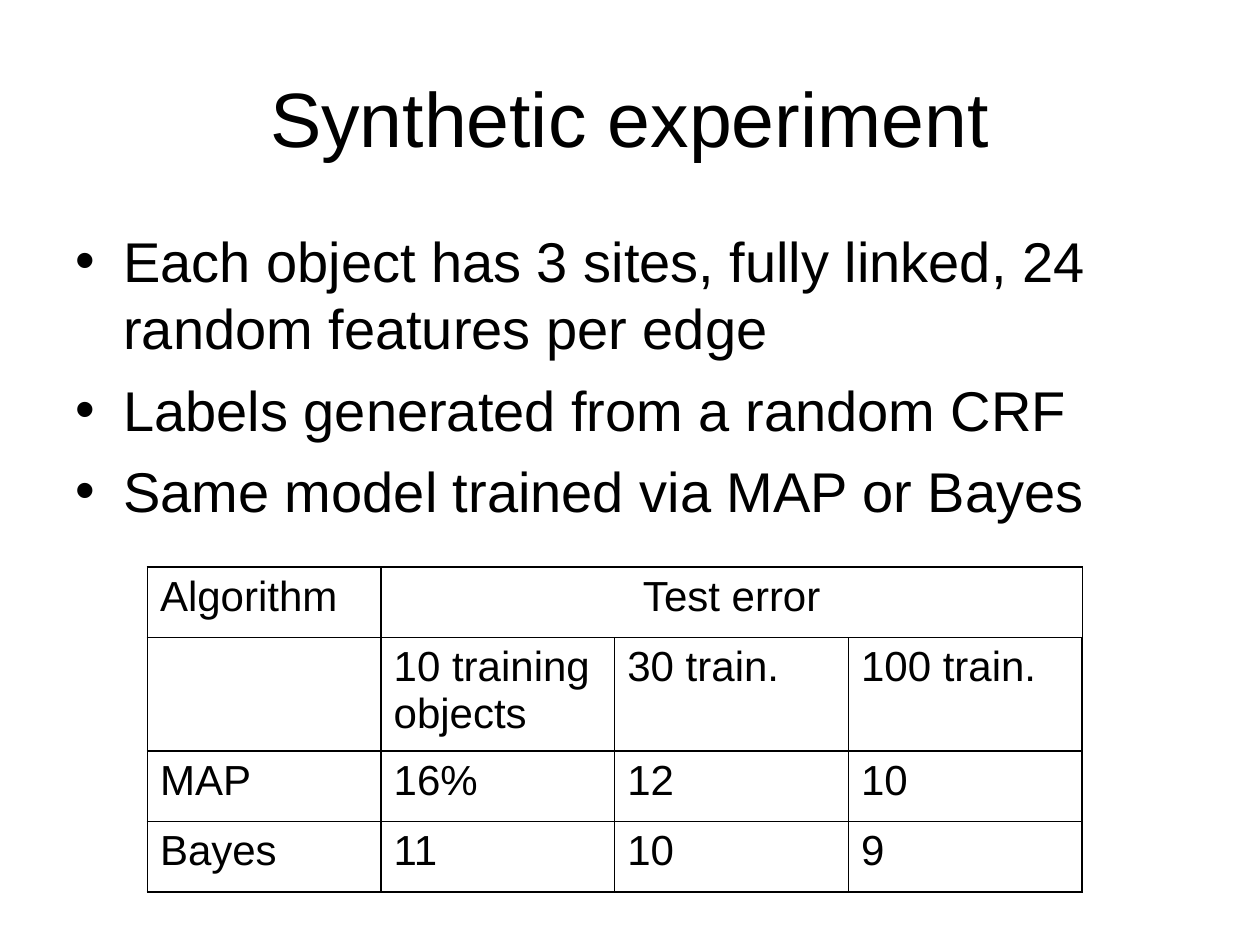
import pptx
import pptx.dml.color
import pptx.enum.text
import pptx.oxml
import pptx.oxml.ns
import pptx.util
from pptx.util import Inches, Pt

COLORS = {"text": "000000", "line": "000000", "background": "FFFFFF"}
ALIGN = pptx.enum.text.PP_ALIGN
THICK, THIN = 1.08, 0.45


def style(p, size, space_before=0, align=ALIGN.LEFT):
    p.alignment = align
    p.space_before = Pt(space_before)
    p.font.size = Pt(size)
    p.font.name = "Arial"
    p.font.color.rgb = pptx.dml.color.RGBColor.from_string(COLORS["text"])


def add_xml(parent, tag, attrs, content=""):
    """Append a drawing element with the given attributes and inner XML."""
    ns = pptx.oxml.ns.nsdecls("a")
    parent.append(pptx.oxml.parse_xml(f"<a:{tag} {ns} {attrs}>{content}</a:{tag}>"))


prs = pptx.Presentation()
prs.slide_width, prs.slide_height = Inches(10), Inches(7.5)
s = prs.slides.add_slide(prs.slide_layouts[6])
s.background.fill.solid()
s.background.fill.fore_color.rgb = pptx.dml.color.RGBColor.from_string(COLORS["background"])

# Title
title = s.shapes.add_textbox(Inches(0.5), Inches(0.3), Inches(9), Inches(1.25))
tf = title.text_frame
tf.word_wrap = True
tf.vertical_anchor = pptx.enum.text.MSO_ANCHOR.MIDDLE
tf.text = "Synthetic experiment"
style(tf.paragraphs[0], 44, align=ALIGN.CENTER)

# Bullets
bullets = [
    "Each object has 3 sites, fully linked, 24 random features per edge",
    "Labels generated from a random CRF",
    "Same model trained via MAP or Bayes",
]
body = s.shapes.add_textbox(Inches(0.5), Inches(1.75), Inches(9), Inches(4.95))
tf = body.text_frame
tf.word_wrap = True
tf.text = "\n".join(bullets)
for p in tf.paragraphs:
    pPr = p._p.get_or_add_pPr()
    pPr.set("marL", str(Inches(0.38)))
    pPr.set("indent", str(Inches(-0.38)))
    add_xml(pPr, "buFont", 'typeface="Arial"')
    add_xml(pPr, "buChar", 'char="•"')
    style(p, 32, space_before=8)

# Results table
rows = [
    ["Algorithm", "Test error", "", ""],
    ["", "10 training objects", "30 train.", "100 train."],
    ["MAP", "16%", "12", "10"],
    ["Bayes", "11", "10", "9"],
]
row_heights = [0.56, 0.9, 0.56, 0.56]
thick_rows, thick_cols = {0, 2, 4}, {0, 1, 4}
frame = s.shapes.add_table(4, 4, Inches(1.17), Inches(4.5), Inches(7.42), Inches(2.58))
table = frame.table
table.first_row = table.horz_banding = False
for column in table.columns:
    column.width = Inches(7.42 / 4)
for row, height in zip(table.rows, row_heights):
    row.height = Inches(height)
table.cell(0, 1).merge(table.cell(0, 3))

for i, texts in enumerate(rows):
    for j, text in enumerate(texts):
        cell = table.cell(i, j)
        cell.text = text
        centered = text == "Test error"
        style(cell.text_frame.paragraphs[0], 24, 6, ALIGN.CENTER if centered else ALIGN.LEFT)
        tcPr = cell._tc.get_or_add_tcPr()
        edges = {
            "lnL": j in thick_cols,
            "lnR": j + 1 in thick_cols,
            "lnT": i in thick_rows,
            "lnB": i + 1 in thick_rows,
        }
        for tag, thick in edges.items():
            width = Pt(THICK if thick else THIN)
            add_xml(tcPr, tag, f'w="{width}"',
                    f'<a:solidFill><a:srgbClr val="{COLORS["line"]}"/></a:solidFill>')
        cell.fill.background()

prs.save("out.pptx")
